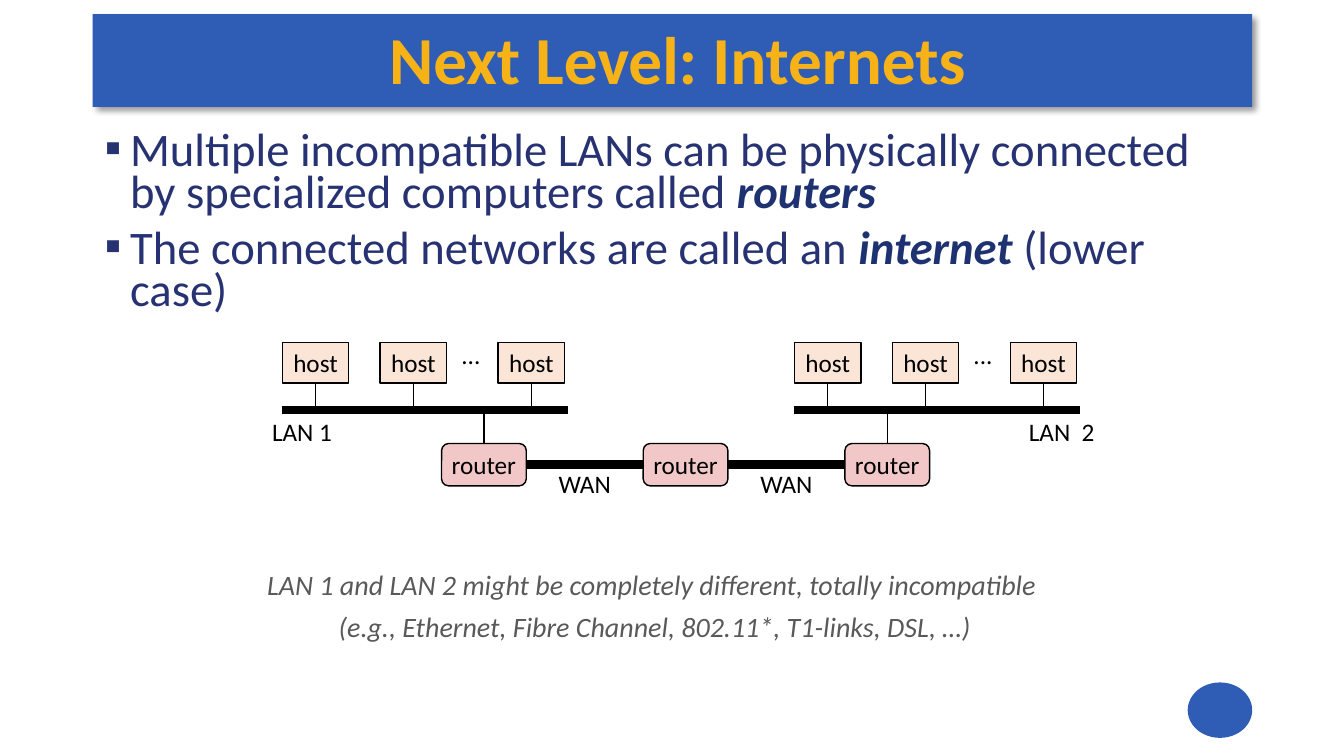
from dataclasses import dataclass

from lxml.etree import SubElement
from pptx import Presentation
from pptx.dml.color import RGBColor
from pptx.enum.shapes import MSO_CONNECTOR as Connector, MSO_SHAPE as Shape
from pptx.enum.text import MSO_ANCHOR as Anchor, MSO_AUTO_SIZE as AutoSize, PP_ALIGN as Align
from pptx.oxml.ns import qn
from pptx.util import Pt


@dataclass(frozen=True)
class Theme:
    """Colours, type sizes and line weights of the slide."""
    font: str = "Calibri"
    bar: str = "2F5CB5"
    title: str = "F7B217"
    body: str = "273272"
    emphasis: str = "1E3272"
    note: str = "595959"
    ink: str = "000000"
    host: str = "FBE5D6"
    router: str = "F1C7C7"
    title_size: float = 48
    body_size: float = 33.3
    note_size: float = 20
    label_size: float = 18
    thin: float = 1
    thick: float = 6


THEME = Theme()
EMU_PER_PX = 9144


def px(length):
    """Turn px, a hundred to the inch, into EMU."""
    return length * EMU_PER_PX


def rgb(value):
    """Turn a hex string into a colour."""
    return RGBColor.from_string(value)


def place(item, box):
    """Move an item to a box given in px."""
    item.left, item.top, item.width, item.height = map(px, box)


def write(para, text, size=THEME.label_size, color=THEME.ink, bold=False, italic=False, align=None):
    """Add one formatted span to a paragraph."""
    if align is not None:
        para.alignment = align
    span = para.add_run()
    span.text = text
    font = span.font
    font.name, font.size, font.bold, font.italic = THEME.font, Pt(size), bold, italic
    font.color.rgb = rgb(color)


def paragraph(frame, index, space):
    """Return the paragraph at an index, with space before all but the first."""
    para = frame.add_paragraph() if index else frame.paragraphs[0]
    para.space_before = Pt(space if index else 0)
    return para


def add_label(frame, text):
    """Centre one unwrapped label in a text frame."""
    frame.word_wrap = False
    frame.vertical_anchor = Anchor.MIDDLE
    write(frame.paragraphs[0], text, align=Align.CENTER)


def add_caption(slide, box, text):
    """Add a free-standing label."""
    add_label(slide.shapes.add_textbox(*map(px, box)).text_frame, text)


def add_block(slide, kind, box, fill, text=None):
    """Add a filled shape, outlined when it carries a label."""
    block = slide.shapes.add_shape(kind, *map(px, box))
    block.shadow.inherit = False
    block.fill.solid()
    block.fill.fore_color.rgb = rgb(fill)
    if text:
        block.line.color.rgb = rgb(THEME.ink)
        block.line.width = Pt(THEME.thin)
        add_label(block.text_frame, text)
    else:
        block.line.fill.background()
    return block


def add_line(slide, start, finish, weight, begin=None, end=None):
    """Draw a line, joined to a shape and side where one is given."""
    line = slide.shapes.add_connector(Connector.STRAIGHT, *map(px, start + finish))
    line.line.color.rgb = rgb(THEME.ink)
    line.line.width = Pt(weight)
    SubElement(line._element.spPr, qn("a:effectLst"))
    if begin:
        line.begin_connect(*begin)
    if end:
        line.end_connect(*end)


def add_header(slide, box):
    """Set the title over a shadowed bar."""
    left, top, width, height = box
    bar = add_block(slide, Shape.RECTANGLE, box, THEME.bar)
    effects = bar._element.spPr.find(qn("a:effectLst"))
    shadow = SubElement(effects, qn("a:outerShdw"), blurRad=str(Pt(4)), dist=str(Pt(3)),
                        dir="2700000", algn="tl", rotWithShape="0")
    color = SubElement(shadow, qn("a:srgbClr"), val=THEME.ink)
    SubElement(color, qn("a:alpha"), val="40000")
    slide.shapes._spTree.insert(2, bar._element)

    title = slide.shapes.title
    place(title, (left + 2, top - 1, width - 2, height - 4))
    frame = title.text_frame
    frame.auto_size = AutoSize.NONE
    frame.vertical_anchor = Anchor.MIDDLE
    frame.margin_left, frame.margin_right = px(8), 0
    frame.margin_top = frame.margin_bottom = px(3)
    write(frame.paragraphs[0], "Next Level: Internets", size=THEME.title_size,
          color=THEME.title, bold=True, align=Align.CENTER)


def add_bullets(slide, box, items):
    """Fill the body with bullets whose spans may be emphasised."""
    body = slide.placeholders[1]
    place(body, box)
    frame = body.text_frame
    frame.auto_size = AutoSize.NONE
    for index, spans in enumerate(items):
        para = paragraph(frame, index, 10)
        props = para._p.get_or_add_pPr()
        props.set("marL", str(px(25)))
        props.set("indent", str(-px(25)))
        SubElement(props, qn("a:buFont"), typeface=THEME.font)
        SubElement(props, qn("a:buChar"), char="▪")
        para.line_spacing = 0.75
        for text, strong in spans:
            write(para, text, size=THEME.body_size, bold=strong, italic=strong,
                  color=THEME.emphasis if strong else THEME.body)


def add_lan(slide, box, name, name_box):
    """Draw hosts hanging on a bus along the bottom of the box."""
    left, top, width, height = box
    host_width, host_height = 66, 40
    bus = top + height
    add_line(slide, (left, bus), (left + width, bus), THEME.thick)
    for offset in (0, 97, 214):
        host = add_block(slide, Shape.RECTANGLE, (left + offset, top, host_width, host_height),
                         THEME.host, "host")
        middle = left + offset + host_width // 2
        add_line(slide, (middle, top + host_height), (middle, bus), THEME.thin, begin=(host, 2))
    add_caption(slide, (left + 167, top - 8, 40, 40), "...")
    x, y, *size = name_box
    add_caption(slide, (left + x, top + y, *size), name)


def add_backbone(slide, box, count, uplink):
    """Draw evenly spaced routers joined by WAN links, with uplinks at both ends."""
    left, top, width, height = box
    router_width = 84
    step = (width - router_width) // (count - 1)
    middle = top + height // 2
    previous = None
    for index in range(count):
        x = left + index * step
        router = add_block(slide, Shape.ROUNDED_RECTANGLE, (x, top, router_width, height),
                           THEME.router, "router")
        if previous:
            add_line(slide, (x - step + router_width, middle), (x, middle), THEME.thick,
                     begin=(previous, 3), end=(router, 1))
            add_caption(slide, (x - 95, top + 20, 74, 40), "WAN")
        if index in (0, count - 1):
            center = x + router_width // 2
            add_line(slide, (center, top - uplink), (center, top), THEME.thin, end=(router, 0))
        previous = router


def add_note(slide, box, lines):
    """Write the centred italic remark."""
    frame = slide.shapes.add_textbox(*map(px, box)).text_frame
    frame.word_wrap = True
    for index, text in enumerate(lines):
        write(paragraph(frame, index, 6), text, size=THEME.note_size, color=THEME.note,
              italic=True, align=Align.CENTER)


def main():
    """Build the deck and save it."""
    deck = Presentation()
    deck.slide_width, deck.slide_height = px(1333), px(750)
    slide = deck.slides.add_slide(deck.slide_layouts[1])
    add_header(slide, (92, 14, 1150, 92))
    add_block(slide, Shape.OVAL, (1178, 677, 64, 55), THEME.bar)
    add_bullets(slide, (94, 127, 1148, 152), [
        [("Multiple incompatible LANs can be physically connected by specialized computers called ",
          False), ("routers", True)],
        [("The connected networks are called an ", False), ("internet ", True),
         ("(lower case)", False)],
    ])
    add_lan(slide, (280, 340, 283, 67), "LAN 1", (-21, 68, 81, 40))
    add_lan(slide, (788, 340, 283, 67), "LAN  2", (221, 68, 88, 40))
    add_backbone(slide, (438, 440, 484, 42), 3, 33)
    add_note(slide, (140, 558, 1019, 86), [
        "LAN 1 and LAN 2 might be completely different, totally incompatible ",
        "(e.g., Ethernet, Fibre Channel, 802.11*, T1-links, DSL, …)",
    ])
    deck.save("out.pptx")


if __name__ == "__main__":
    main()
